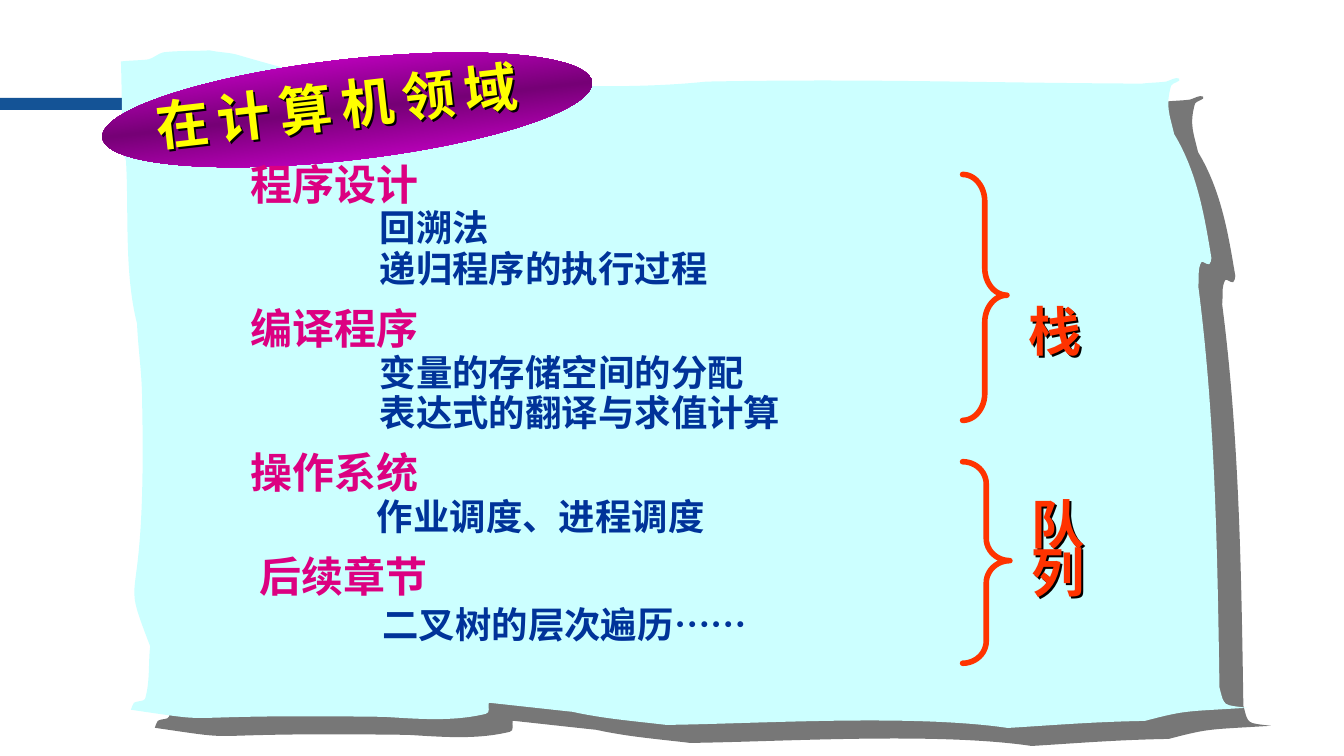
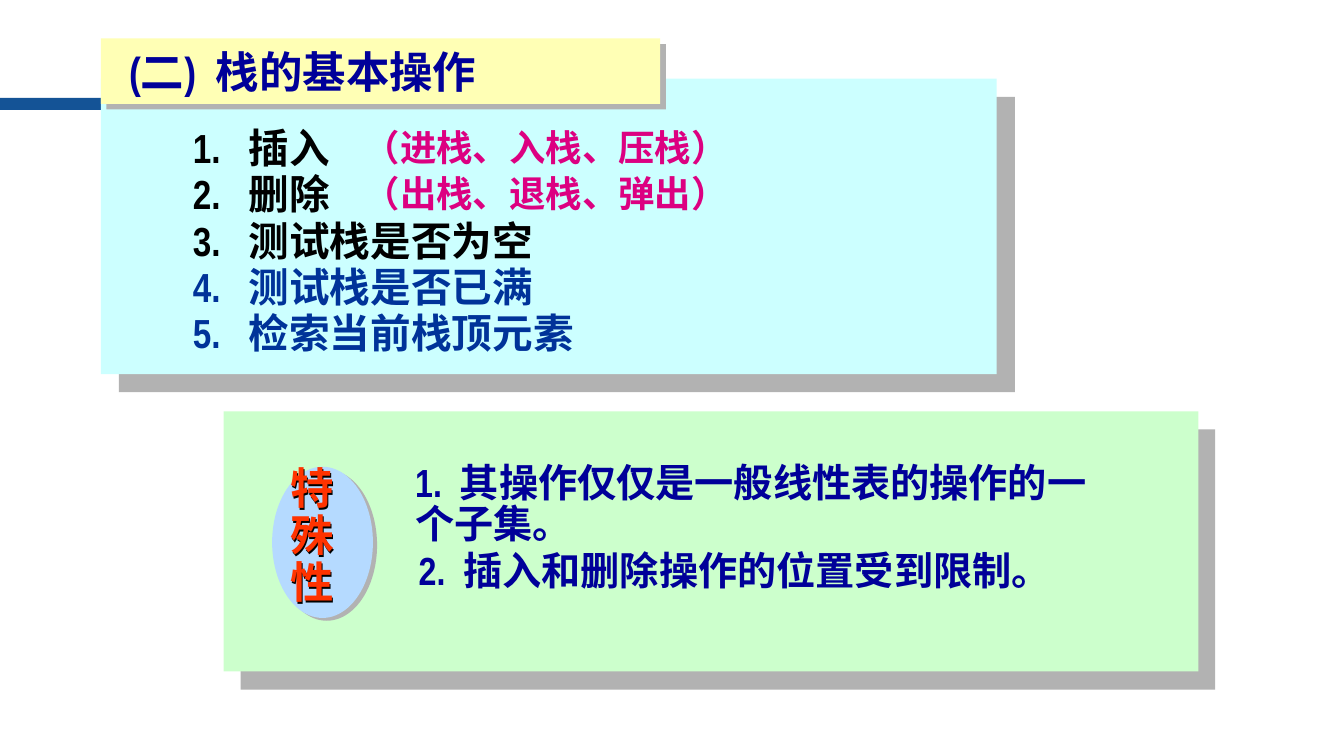
import copy

from pptx import Presentation
from pptx import util as u
from pptx.dml import color as dml
from pptx.enum import shapes, text
from pptx.oxml import ns, xmlchemy

Pt = u.Pt
FONT, CJK_FONT = "Arial Narrow", "Noto Sans CJK SC"
CJK_MARKS = ("……", "。")
BLUE, NAVY, PINK, RED = "003399", "000099", "DC0081", "FF3300"
CYAN, GRAY, BLACK, BAND = "CCFFFF", "B2B2B2", "000000", "145396"
TEXT_SHADOW = (BLACK, 2, 45)
SHEET_START = (120, 61)
SHEET_CURVES = [
    (121, 92, 121, 122, 122, 153), (123, 155, 125, 157, 125, 159),
    (128, 209, 123, 270, 136, 321), (137, 346, 141, 371, 141, 396),
    (146, 628, 116, 555, 149, 641), (147, 658, 149, 676, 144, 693),
    (143, 696, 136, 695, 133, 697), (131, 699, 131, 702, 130, 704),
    (232, 719, 150, 708, 381, 711), (415, 713, 449, 716, 482, 708),
    (487, 707, 484, 701, 485, 697), (513, 700, 540, 703, 568, 706),
    (600, 713, 628, 715, 661, 719), (748, 718, 905, 708, 1000, 722),
    (1049, 719, 1084, 716, 1136, 715), (1178, 704, 1175, 706, 1237, 702),
    (1213, 699, 1215, 701, 1210, 682), (1208, 551, 1206, 415, 1189, 284),
    (1190, 276, 1188, 267, 1192, 260), (1193, 258, 1197, 263, 1200, 262),
    (1202, 261, 1201, 258, 1202, 256), (1195, 214, 1188, 171, 1165, 133),
    (1161, 115, 1156, 106, 1162, 85), (1163, 82, 1173, 81, 1170, 78),
    (1167, 76, 1161, 80, 1157, 81), (1149, 82, 1141, 82, 1133, 83),
    (955, 82, 861, 78, 701, 81), (587, 93, 438, 78, 317, 76),
    (289, 70, 262, 62, 234, 54), (226, 52, 217, 52, 208, 50),
    (193, 51, 178, 50, 162, 52), (157, 53, 152, 58, 147, 59),
    (138, 60, 129, 60, 120, 61),
]


def color(value):
    """Turn a hex string into a colour."""
    return dml.RGBColor.from_string(value)


def add_child(parent, tag, **attributes):
    """Append a DrawingML element and return it."""
    child = xmlchemy.OxmlElement(tag)
    for name, value in attributes.items():
        child.set(name, str(value))
    parent.append(child)
    return child


def style(shape, fill=None, line=None, shadow=None):
    """Set a shape's fill, outline and hard shadow."""
    if fill:
        shape.fill.solid()
        shape.fill.fore_color.rgb = color(fill)
    else:
        shape.fill.background()
    if line:
        shape.line.color.rgb = color(line)
        shape.line.width = Pt(4)
        shape._element.spPr.find(ns.qn("a:ln")).set("cap", "rnd")
    else:
        shape.line.fill.background()
    shape.shadow.inherit = False
    if shadow:
        value, distance, angle = shadow
        effects = shape._element.spPr.find(ns.qn("a:effectLst"))
        outer = add_child(effects, "a:outerShdw", blurRad=0, dist=Pt(distance),
                          dir=angle * 60000, algn="ctr", rotWithShape=0)
        add_child(outer, "a:srgbClr", val=value)
    return shape


def add_preset(slide, kind, box, **look):
    """Add a styled preset shape in a box."""
    return style(slide.shapes.add_shape(kind, *map(Pt, box)), **look)


def write_run(paragraph, content, size, ink, spacing):
    """Write one run, widening a lone space into a gap."""
    run = paragraph.add_run()
    run.text = content
    run.font.size, run.font.bold = Pt(size), True
    run.font.color.rgb = color(ink)
    run.font.name = CJK_FONT if content in CJK_MARKS else FONT
    properties = run._r.get_or_add_rPr()
    add_child(properties, "a:ea", typeface=run.font.name)
    spacing = size * 0.23 if content == " " else spacing
    if spacing:
        properties.set("spc", str(round(spacing * 100)))


def write_paragraph(paragraph, content, size=28, ink=BLACK, line=None, before=0,
                    left=0, hanging=0, numbered=False, spacing=0,
                    align=text.PP_ALIGN.LEFT):
    """Write one paragraph, from a string or a tuple of runs."""
    properties = paragraph._p.get_or_add_pPr()
    properties.set("marL", str(Pt(left)))
    properties.set("indent", str(Pt(-hanging)))
    if numbered:
        add_child(properties, "a:buFont", typeface=FONT)
        add_child(properties, "a:buAutoNum", type="arabicPeriod")
    else:
        add_child(properties, "a:buNone")
    paragraph.alignment = align
    paragraph.line_spacing = Pt(line or size * 1.2)
    paragraph.space_before, paragraph.space_after = Pt(before), Pt(0)
    for piece in (content,) if isinstance(content, str) else content:
        write_run(paragraph, piece, size, ink, spacing)


def write(shape, paragraphs, anchor=text.MSO_ANCHOR.TOP, shadow=None, **formats):
    """Fill a shape with (text, overrides) paragraphs in a common format."""
    style(shape, shadow=shadow)
    frame = shape.text_frame
    frame.word_wrap = True
    frame.auto_size = text.MSO_AUTO_SIZE.NONE
    frame.vertical_anchor = anchor
    for index, (content, overrides) in enumerate(paragraphs):
        paragraph = frame.add_paragraph() if index else frame.paragraphs[0]
        write_paragraph(paragraph, content, **{**formats, **overrides})


def plain(*lines):
    """Pair each line with no overrides."""
    return [(line, {}) for line in lines]


def add_label(slide, box, lines, **formats):
    """Add a text box with one paragraph per line."""
    write(slide.shapes.add_textbox(*map(Pt, box)), plain(*lines), **formats)


def fill_placeholder(slide, index, box, paragraphs, **formats):
    """Move a placeholder in front of the shapes so far and fill it."""
    shape = slide.placeholders[index]
    shape.left, shape.top, shape.width, shape.height = map(Pt, box)
    slide.shapes._spTree.append(shape._element)
    write(shape, paragraphs, **formats)
    return shape


def add_master_band(presentation, slide):
    """Put the blue band on the master and its thin rule on the layout."""
    band = add_preset(slide, shapes.MSO_SHAPE.RECTANGLE, (0, 69.84, 267.84, 8.64),
                      fill=BAND)
    presentation.slide_master.shapes._spTree.insert(2, band._element)
    rule = slide.shapes.add_connector(shapes.MSO_CONNECTOR.STRAIGHT,
                                      *map(Pt, (265, 73.4, 476.6, 73.4)))
    rule.line.color.rgb = color(BAND)
    rule.line.width = Pt(2.25)
    add_child(rule._element.spPr, "a:effectLst")
    slide.slide_layout.shapes._spTree.insert(2, rule._element)


def add_paper(slide, box):
    """Draw the torn sheet of paper in a box."""
    left, top, width, height = box
    points = [curve[i:i + 2] for curve in SHEET_CURVES for i in (0, 2, 4)]
    xs, ys = zip(*points)

    def fit(point):
        """Scale an outline point into the box."""
        return (Pt(left + (point[0] - min(xs)) * width / (max(xs) - min(xs))),
                Pt(top + (point[1] - min(ys)) * height / (max(ys) - min(ys))))

    builder = slide.shapes.build_freeform(*fit(SHEET_START))
    builder.add_line_segments([fit(point) for point in points])
    paper = style(builder.convert_to_shape(), fill=CYAN, shadow=("777777", 21.4, 37))
    segments = list(paper._element.iter(ns.qn("a:lnTo")))
    for start in range(0, len(points), 3):
        curve = xmlchemy.OxmlElement("a:cubicBezTo")
        segments[start].addprevious(curve)
        for segment in segments[start:start + 3]:
            curve.append(segment[0])
    for segment in segments:
        segment.getparent().remove(segment)


def add_tilted_title(slide, box, title):
    """Add the tilted oval with the title on it."""
    left, top, width, height = box
    oval = add_preset(slide, shapes.MSO_SHAPE.OVAL, box)
    oval.rotation = 353.5
    oval.fill.gradient()
    oval.fill.gradient_angle = 270
    stops = oval._element.spPr.find(".//" + ns.qn("a:gsLst"))
    stops.append(copy.deepcopy(stops[0]))
    for stop, position, value in zip(oval.fill.gradient_stops, (0, 0.5, 1),
                                     ("FF00FF", "760076", "FF00FF")):
        stop.position = position
        stop.color.rgb = color(value)
    shape = fill_placeholder(slide, 0, (left + 12.8, top + 4, 311, 56), plain(title),
                             size=38, ink="FFFF00", spacing=6.3, shadow=TEXT_SHADOW,
                             align=text.PP_ALIGN.CENTER, anchor=text.MSO_ANCHOR.MIDDLE)
    shape.rotation = 353.5


def add_topics(slide, box, groups):
    """Fill the body with pink headings and indented blue items."""
    paragraphs = []
    for heading, shift, indent, gap, items in groups:
        paragraphs.append((heading, dict(size=30, ink=PINK, line=36, left=shift,
                                         before=9 if paragraphs else 0)))
        paragraphs += [(item, dict(left=indent, before=gap)) for item in items]
    fill_placeholder(slide, 1, box, paragraphs, size=26, ink=BLUE, line=29)


def add_brace(slide, box, curl, lines, label_top):
    """Add a right brace with a stacked label beside it."""
    left, top, width, height = box
    brace = add_preset(slide, shapes.MSO_SHAPE.RIGHT_BRACE, box, line=RED)
    brace.adjustments[0], brace.adjustments[1] = curl, 0.491
    add_label(slide, (left + width + 8.6, top + label_top, 54, 76), lines,
              size=38, ink=RED, line=34.2, shadow=TEXT_SHADOW)


def add_operations(slide, box):
    """Add the panel of stack operations with its title tab."""
    left, top, width, height = box
    add_preset(slide, shapes.MSO_SHAPE.RECTANGLE, box, fill=CYAN, shadow=(GRAY, 18.4, 45))
    add_preset(slide, shapes.MSO_SHAPE.RECTANGLE, (left, top - 28.8, 399.6, 46.8),
               fill="FFFFB5", shadow=(GRAY, 5.7, 45))
    fill_placeholder(slide, 0, (left + 13, top - 27.4, 432, 44.6),
                     plain(("(二)", " ", "栈的基本操作")), size=31, ink=NAVY)
    operations = [("插入", BLACK), ("删除", BLACK), ("测试栈是否为空", BLACK),
                  ("测试栈是否已满", BLUE), ("检索当前栈顶元素", BLUE)]
    fill_placeholder(slide, 1, (left + 58.5, top + 30, 440, 174),
                     [(name, dict(ink=ink)) for name, ink in operations],
                     size=29, line=33, left=40, hanging=40, numbered=True)
    add_label(slide, (left + 180.7, top + 28, 352, 74),
              ["（进栈、入栈、压栈）", "（出栈、退栈、弹出）"], size=26, ink=PINK, line=33)


def add_special_traits(slide, box):
    """Add the panel of special traits with its oval label."""
    left, top, width, height = box
    add_preset(slide, shapes.MSO_SHAPE.RECTANGLE, box, fill="CCFFCC", shadow=(GRAY, 17.7, 47))
    add_preset(slide, shapes.MSO_SHAPE.OVAL, (left + 34.6, top + 39.6, 72, 108),
               fill="B5DAFF", shadow=(GRAY, 3.6, 34))
    add_label(slide, (left + 40.3, top + 36, 60, 108), "特殊性",
              size=31, ink=RED, line=33.5, shadow=(BLACK, 1.5, 45))
    fill_placeholder(slide, 2, (left + 129.6, top + 35.3, 506, 104),
                     [(("1.", " ", "其操作仅仅是一般线性表的操作的一个子集。"), {}),
                      (("2.", " ", "插入和删除操作的位置受到限制", "。"),
                       dict(before=5.5, left=2.5))],
                     ink=NAVY, line=28.6)


def build_fields_slide(slide):
    """Build the slide on uses in computing."""
    add_paper(slide, (83.5, 36, 807, 484))
    add_tilted_title(slide, (72, 42.5, 352, 72), "在计算机领域")
    add_topics(slide, (172, 109.4, 500, 370), [
        ("程序设计", 0, 92, 0, ["回溯法", "递归程序的执行过程"]),
        ("编译程序", 0, 92, 0, ["变量的存储空间的分配", "表达式的翻译与求值计算"]),
        ("操作系统", 0, 90, 0, ["作业调度、进程调度"]),
        ("后续章节", 6, 94, 3, [("二叉树的层次遍历", "……")]),
    ])
    add_brace(slide, (687.6, 124.6, 31.7, 175.7), 0.609, "栈", 96.6)
    add_brace(slide, (687.6, 329.8, 33.8, 144), 0.471, "队列", 28.8)


def build_stack_slide(slide):
    """Build the slide on stack operations."""
    add_special_traits(slide, (159.8, 293.8, 696.2, 185.8))
    add_operations(slide, (72, 56.2, 640, 211))


def main():
    """Build and save the presentation."""
    presentation = Presentation()
    presentation.slide_width, presentation.slide_height = Pt(960), Pt(540)
    layouts = presentation.slide_layouts
    fields_slide = presentation.slides.add_slide(layouts.get_by_name("Title and Content"))
    add_master_band(presentation, fields_slide)
    build_fields_slide(fields_slide)
    build_stack_slide(presentation.slides.add_slide(layouts.get_by_name("Two Content")))
    presentation.save("out.pptx")


if __name__ == "__main__":
    main()
